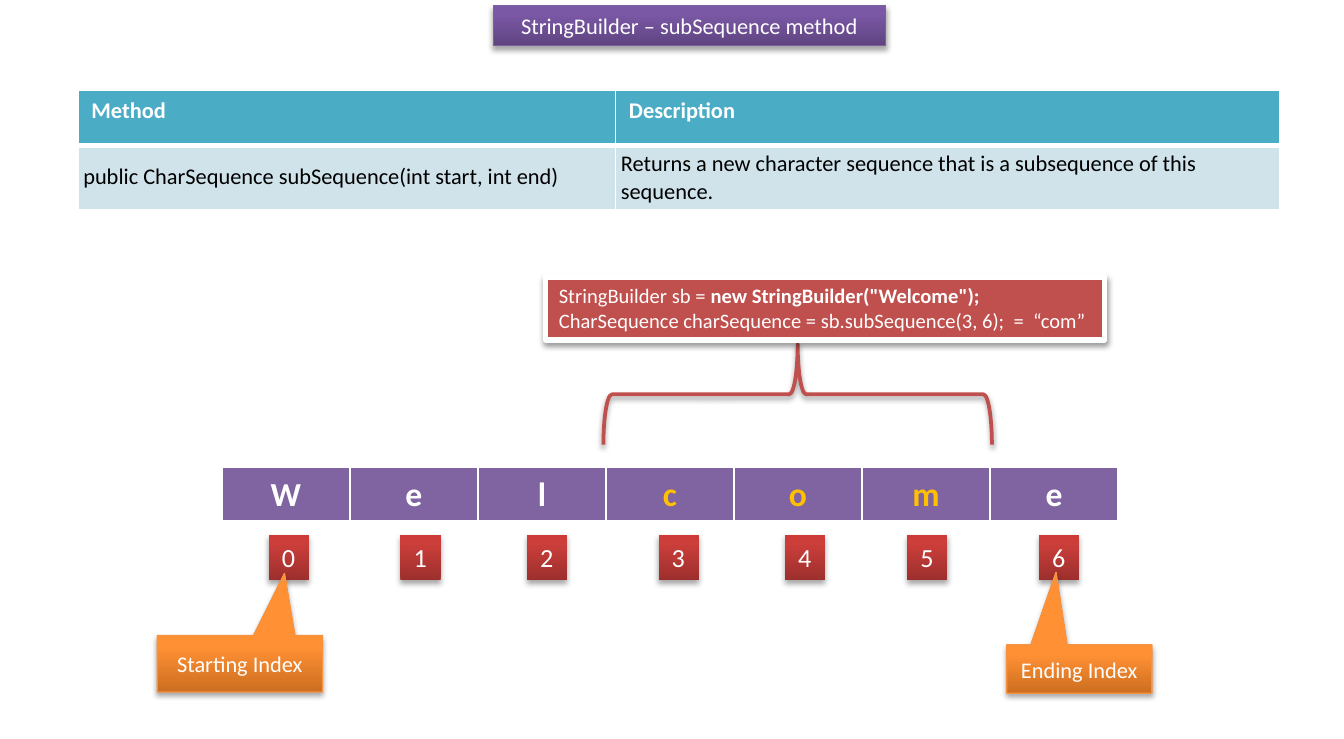
from dataclasses import dataclass

from lxml.etree import SubElement
from pptx import Presentation
from pptx.dml.color import RGBColor
from pptx.enum.shapes import MSO_SHAPE
from pptx.enum.text import MSO_ANCHOR, MSO_AUTO_SIZE, PP_ALIGN
from pptx.oxml.ns import qn
from pptx.util import Inches, Pt

COLUMNS, ROWS = 100, 55
UNIT = Inches(0.1)
FONT = "Calibri"
COLORS = {
    "white": "FFFFFF", "black": "000000", "teal": "4BACC6", "pale": "D0E3EA",
    "purple": "8064A2", "violet": "7D60A0", "gold": "FFC000",
    "brick": "C0504D", "orange": "F69240",
}
GRADIENTS = {
    "violet": ("5F4480", "7B58A6", "7C57A8"),
    "red": ("9C2F2D", "CB3E3A", "CE3B37"),
    "orange": ("CC6E20", "FF9034", "FF9136"),
}
STOPS = (0, 80, 100)


@dataclass
class Box:
    """A rectangle measured in grid columns and rows."""
    left: float
    top: float
    width: float
    height: float

    def inside(self, left, top, width, height):
        """Return a box placed relative to this one."""
        return Box(self.left + left, self.top + top, width, height)

    def lengths(self):
        """Return the four lengths in slide units."""
        return [round(value * UNIT) for value in (self.left, self.top, self.width, self.height)]


def color(name):
    """Return a named colour."""
    return RGBColor.from_string(COLORS[name])


def add_color(parent, value):
    """Append an RGB colour element."""
    return SubElement(parent, qn("a:srgbClr"), val=value)


def style_font(font, size, name="white", bold=False):
    """Set the look of a font."""
    font.name, font.size, font.bold = FONT, Pt(size), bold
    font.color.rgb = color(name)


def add_shadow(shape, opacity):
    """Give a shape a soft shadow below it."""
    shape.shadow.inherit = False
    effects = shape._element.spPr.find(qn("a:effectLst"))
    shadow = SubElement(effects, qn("a:outerShdw"), blurRad=str(Pt(3.1)), dist=str(Pt(1.7)),
                        dir="5400000", rotWithShape="0")
    SubElement(add_color(shadow, COLORS["black"]), qn("a:alpha"), val=str(opacity * 1000))


def fill_gradient(shape, name):
    """Fill a shape with a gradient that is darkest at the bottom."""
    shape.fill.gradient()
    shape.fill.gradient_angle = 90
    stops = shape._element.spPr.find(qn("a:gradFill")).find(qn("a:gsLst"))
    for stop in list(stops):
        stops.remove(stop)
    for position, value in zip(STOPS, GRADIENTS[name]):
        add_color(SubElement(stops, qn("a:gs"), pos=str(position * 1000)), value)


def add_panel(slide, box, kind, gradient=None, line=None, weight=0.75, opacity=35):
    """Add a shadowed shape with an optional gradient and outline."""
    shape = slide.shapes.add_shape(kind, *box.lengths())
    if gradient:
        fill_gradient(shape, gradient)
    else:
        shape.fill.background()
    if line:
        shape.line.color.rgb = color(line)
        shape.line.width = Pt(weight)
    else:
        shape.line.fill.background()
    add_shadow(shape, opacity)
    return shape


def write(shape, text, size, align=PP_ALIGN.CENTER, anchor=MSO_ANCHOR.TOP, wrap=True):
    """Write styled text into a shape."""
    frame = shape.text_frame
    frame.text = text
    frame.word_wrap = wrap
    frame.vertical_anchor = anchor
    if anchor == MSO_ANCHOR.TOP:
        frame.auto_size = MSO_AUTO_SIZE.SHAPE_TO_FIT_TEXT
    for paragraph in frame.paragraphs:
        paragraph.alignment = align
        for run in paragraph.runs:
            style_font(run.font, size)


def style_cell(cell, fill, bottom):
    """Give a cell white borders and a plain fill."""
    properties = cell._tc.get_or_add_tcPr()
    for side, weight in (("L", 1), ("R", 1), ("T", 1), ("B", bottom)):
        border = SubElement(properties, qn(f"a:ln{side}"), w=str(Pt(weight)))
        add_color(SubElement(border, qn("a:solidFill")), COLORS["white"])
    cell.fill.solid()
    cell.fill.fore_color.rgb = color(fill)


def add_table(slide, box, rows, widths):
    """Add a table with the given texts and column widths."""
    table = slide.shapes.add_table(len(rows), len(widths), *box.lengths()).table
    for column, width in zip(table.columns, widths):
        column.width = round(width * UNIT)
    for row, texts in zip(table.rows, rows):
        row.height = round(box.height / len(rows) * UNIT)
        for cell, text in zip(row.cells, texts):
            cell.text = text
    return table


def build_title(slide, box):
    """Add the title banner."""
    shape = add_panel(slide, box, MSO_SHAPE.RECTANGLE, "violet", "violet")
    write(shape, "StringBuilder – subSequence method", 12)


def build_method_table(slide, box):
    """Add the table that describes the method."""
    rows = (
        ("Method", "Description"),
        ("public CharSequence subSequence(int start, int end)",
         "Returns a new character sequence that is a subsequence of this sequence."),
    )
    table = add_table(slide, box, rows, (40, box.width - 40))
    for header, body in zip(table.rows[0].cells, table.rows[1].cells):
        style_cell(header, "teal", 3)
        style_font(header.text_frame.paragraphs[0].runs[0].font, 12, bold=True)
        style_cell(body, "pale", 1)
        style_font(body.text_frame.paragraphs[0].runs[0].font, 12, "black")
        body.vertical_anchor = MSO_ANCHOR.MIDDLE
        body.margin_left = body.margin_right = Inches(0.04)
        body.margin_top = body.margin_bottom = Inches(0.04)


def build_word(slide, box):
    """Add the letters of the word with an index badge below each."""
    word = "Welcome"
    table = add_table(slide, box, (word,), [box.width / len(word)] * len(word))
    for index, cell in enumerate(table.rows[0].cells):
        style_cell(cell, "purple", 3)
        paragraph = cell.text_frame.paragraphs[0]
        paragraph.alignment = PP_ALIGN.CENTER
        style_font(paragraph.runs[0].font, 18, "gold" if 3 <= index < 6 else "white", True)
    for index, left in enumerate((3.5, 13.3, 22.7, 32.5, 41.9, 51, 60.8)):
        badge = add_panel(slide, box.inside(left, 5, 3, 3.4), MSO_SHAPE.RECTANGLE, "red")
        write(badge, str(index), 14, PP_ALIGN.LEFT, wrap=False)


def build_callout(slide, box, text, tip):
    """Add a callout whose tip points at an index badge."""
    shape = add_panel(slide, box, MSO_SHAPE.RECTANGULAR_CALLOUT, "orange", "orange")
    shape.adjustments[0], shape.adjustments[1] = tip
    write(shape, text, 12, anchor=MSO_ANCHOR.MIDDLE)


def build_example(slide, box):
    """Add the code sample and the brace that spans its result."""
    brace = add_panel(slide, box.inside(15, -5.7, 7.5, 28.9), MSO_SHAPE.LEFT_BRACE,
                      line="brick", weight=2, opacity=38)
    brace.rotation = 90
    code = add_panel(slide, box, MSO_SHAPE.RECTANGLE, line="white", weight=3, opacity=38)
    code.fill.solid()
    code.fill.fore_color.rgb = color("brick")
    write(code, "StringBuilder sb = \nCharSequence charSequence = sb.subSequence(3, 6);  =  “com”",
          11, PP_ALIGN.LEFT, wrap=False)
    run = code.text_frame.paragraphs[0].add_run()
    run.text = 'new StringBuilder("Welcome");'
    style_font(run.font, 11, bold=True)


def main():
    """Build and save the presentation."""
    presentation = Presentation()
    presentation.slide_width, presentation.slide_height = COLUMNS * UNIT, ROWS * UNIT
    slide = presentation.slides.add_slide(presentation.slide_layouts[6])
    build_title(slide, Box(36.7, 0.4, 29.2, 3))
    build_method_table(slide, Box(5.8, 6.7, 89.4, 8.2))
    build_word(slide, Box(16.5, 34.8, 66.7, 4.1))
    build_callout(slide, Box(11.7, 47.3, 12.3, 4.2), "Starting Index", (0.27, -1.6))
    build_callout(slide, Box(74.9, 48, 10.8, 3.6), "Ending Index", (-0.16, -2))
    build_example(slide, Box(40.6, 20.6, 41.6, 4.7))
    presentation.save("out.pptx")


if __name__ == "__main__":
    main()
